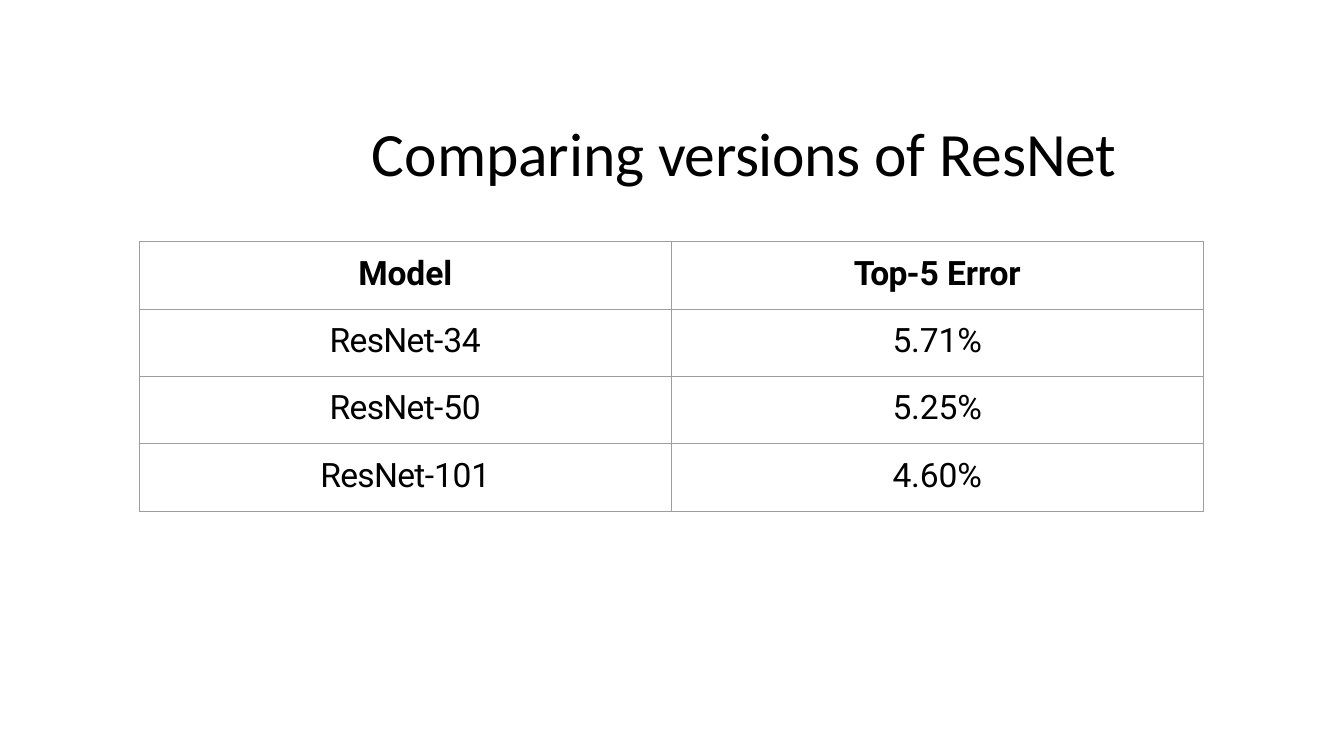
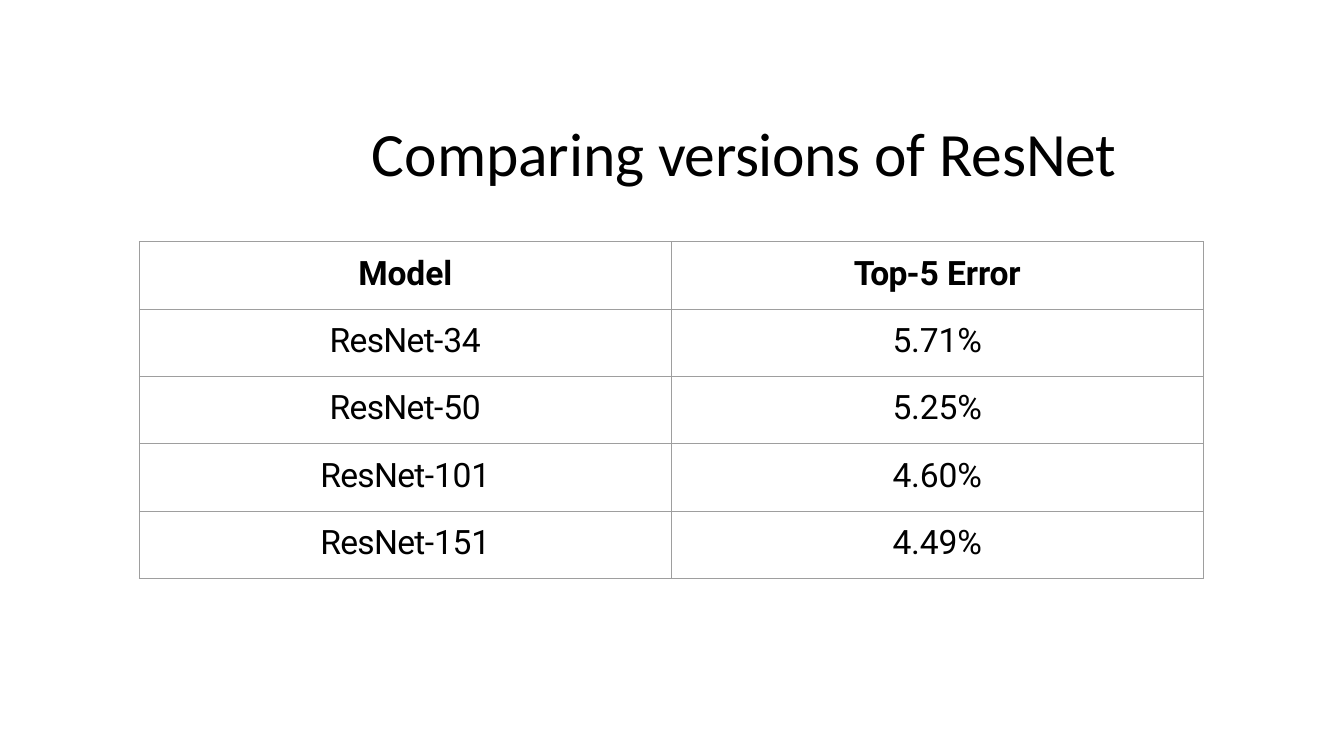
from lxml import etree
from pptx import Presentation
from pptx.dml.color import RGBColor
from pptx.enum.text import MSO_ANCHOR, PP_ALIGN
from pptx.oxml.ns import qn
from pptx.util import Pt

CENTER = PP_ALIGN.CENTER
MIDDLE = MSO_ANCHOR.MIDDLE
TOP = MSO_ANCHOR.TOP

COLORS = {"text": "000000", "background": "FFFFFF", "border": "9E9E9E"}
TITLE_FONT = "Calibri"
TABLE_FONT = "Roboto"
TITLE = [("Comparing ", -0.1), ("versions ", -0.3), ("of ", 0), ("ResNet", -0.1)]
HEADER = [[("Model", -0.1)], [("Top-", -0.6), ("5", 0), (" Error", -0.1)]]
ERRORS = [("34", "5.71%"), ("50", "5.25%"), ("101", "4.60%"), ("151", "4.49%")]
COLUMN_WIDTH = 380
ROW_HEIGHT = 48.1


def write(paragraph, pieces, font_name, size, bold=False):
    for text, spacing in pieces:
        run = paragraph.add_run()
        run.text = text
        run._r.get_or_add_rPr().set("spc", str(round(spacing * 100)))
    font = paragraph.font
    font.name = font_name
    font.size = Pt(size)
    font.bold = bold
    font.color.rgb = RGBColor.from_string(COLORS["text"])


def add_title(slide):
    frame = slide.shapes.add_textbox(Pt(265.7), Pt(80.6), Pt(600), Pt(54.7)).text_frame
    frame.word_wrap = True
    frame.vertical_anchor = MIDDLE
    frame.margin_left = frame.margin_right = frame.margin_bottom = 0
    frame.margin_top = Pt(1.5)
    write(frame.paragraphs[0], TITLE, TITLE_FONT, 44)


def add_borders(cell):
    properties = cell._tc.get_or_add_tcPr()
    for index, side in enumerate(("lnL", "lnR", "lnT", "lnB")):
        line = etree.Element(qn(f"a:{side}"), w=str(Pt(0.75)))
        fill = etree.SubElement(line, qn("a:solidFill"))
        etree.SubElement(fill, qn("a:srgbClr"), val=COLORS["border"])
        properties.insert(index, line)


def fill_cell(cell, pieces, bold):
    cell.margin_left = cell.margin_right = cell.margin_bottom = 0
    cell.margin_top = Pt(8.6)
    cell.vertical_anchor = TOP
    cell.fill.background()
    add_borders(cell)
    paragraph = cell.text_frame.paragraphs[0]
    paragraph.alignment = CENTER
    write(paragraph, pieces, TABLE_FONT, 24, bold)


def add_error_table(slide, errors):
    rows = [HEADER] + [
        [[("ResNet-", -0.5), (depth, -0.2)], [(error, -0.1)]] for depth, error in errors
    ]
    table = slide.shapes.add_table(
        len(rows), len(HEADER), Pt(99.5), Pt(172.8),
        Pt(COLUMN_WIDTH * len(HEADER)), Pt(ROW_HEIGHT * len(rows)),
    ).table
    table.horz_banding = False
    for column in table.columns:
        column.width = Pt(COLUMN_WIDTH)
    for row_index, row in enumerate(rows):
        table.rows[row_index].height = Pt(ROW_HEIGHT)
        for column_index, pieces in enumerate(row):
            fill_cell(table.cell(row_index, column_index), pieces, row_index == 0)


def add_comparison_slide(presentation, errors):
    slide = presentation.slides.add_slide(presentation.slide_layouts[6])
    background = slide.background.fill
    background.solid()
    background.fore_color.rgb = RGBColor.from_string(COLORS["background"])
    add_error_table(slide, errors)
    add_title(slide)


def main():
    presentation = Presentation()
    presentation.slide_width = Pt(960)
    presentation.slide_height = Pt(540)
    for model_count in (3, 4):
        add_comparison_slide(presentation, ERRORS[:model_count])
    presentation.save("out.pptx")


if __name__ == "__main__":
    main()
